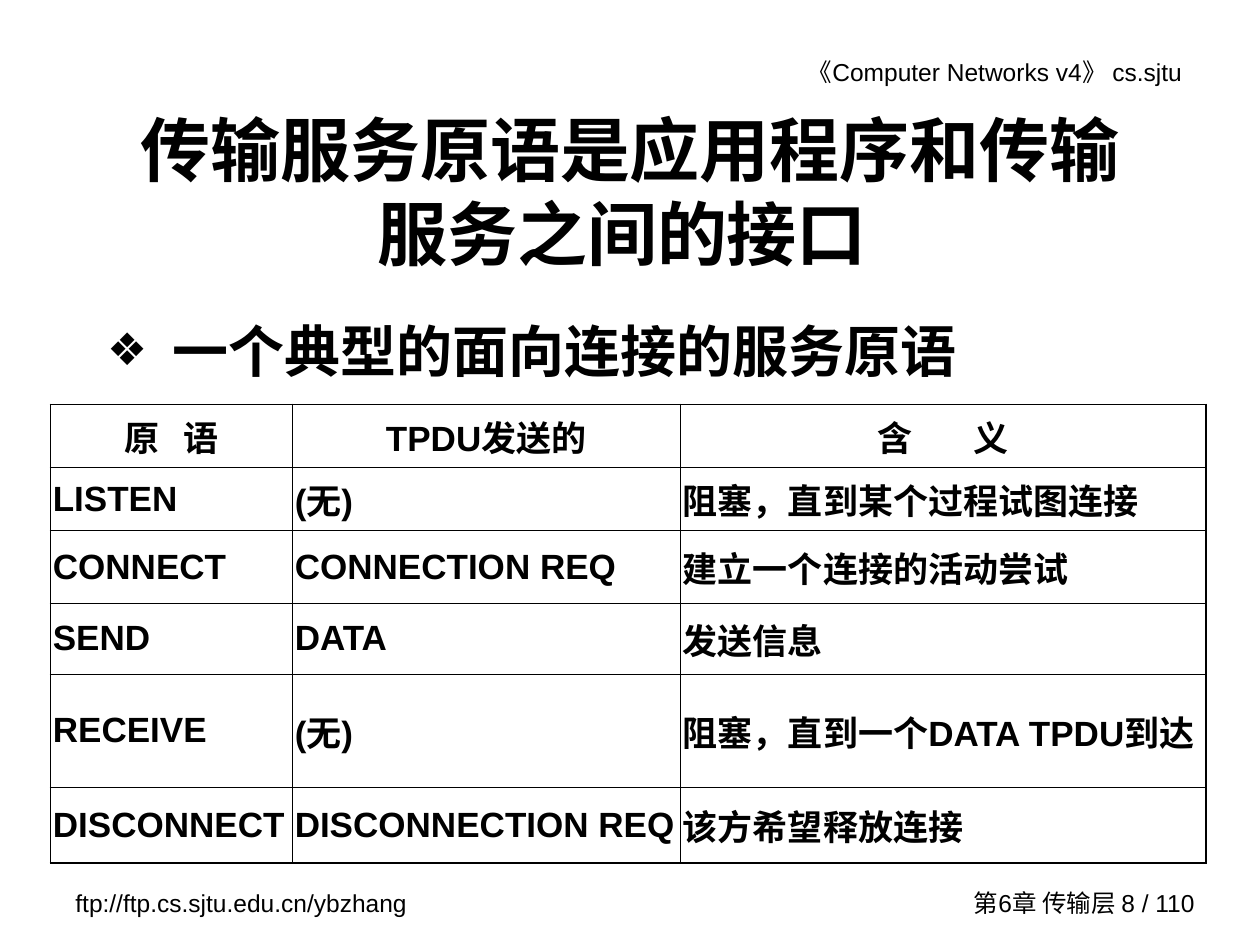
import pptx
import pptx.util
import pptx.dml.color
import pptx.enum.text
import pptx.oxml.ns
import lxml.etree

Inches = pptx.util.Inches
Pt = pptx.util.Pt
Align = pptx.enum.text.PP_ALIGN
Anchor = pptx.enum.text.MSO_ANCHOR
COLORS = {"ink": "000000"}
LATIN, HAN = "Arial", "Noto Sans CJK SC"
COLS = [1.92, 3.08, 4.17]
HEIGHTS = [0.5, 0.5, 0.58, 0.56, 0.9, 0.6]
ROWS = [
    ["原 语", "TPDU发送的", "含 义"],
    ["LISTEN", "(无)", "阻塞，直到某个过程试图连接"],
    ["CONNECT", "CONNECTION REQ", "建立一个连接的活动尝试"],
    ["SEND", "DATA", "发送信息"],
    ["RECEIVE", "(无)", "阻塞，直到一个DATA TPDU到达"],
    ["DISCONNECT", "DISCONNECTION REQ", "该方希望释放连接"],
]
GAPS = {"原 语": 9, "含 义": 30}


def add(parent, tag, **attrs):
    """Append a DrawingML element and return it."""
    return lxml.etree.SubElement(parent, pptx.oxml.ns.qn("a:" + tag), attrs)


def style(para, size, bold=False, align=Align.LEFT, face=LATIN):
    """Set the look of a whole paragraph."""
    para.alignment = align
    para.space_before = Pt(0)
    font = para.font
    font.size, font.bold, font.name = Pt(size), bold, face
    font.color.rgb = pptx.dml.color.RGBColor.from_string(COLORS["ink"])
    add(font._element, "ea", typeface=HAN)


def place(shape, box):
    """Move a shape to a box given in inches."""
    shape.left, shape.top, shape.width, shape.height = map(Inches, box)


def put_note(slide, box, text, align=Align.LEFT, anchor=Anchor.TOP, right=0.1):
    """Add a small running line at the edge of the slide."""
    frame = slide.shapes.add_textbox(*map(Inches, box)).text_frame
    frame.word_wrap = True
    frame.vertical_anchor = anchor
    frame.margin_right = Inches(right)
    frame.text = text
    style(frame.paragraphs[0], 14, align=align)


def put_title(slide, box):
    """Fill the title placeholder."""
    title = slide.shapes.title
    place(title, box)
    frame = title.text_frame
    frame.text = "传输服务原语是应用程序和传输服务之间的接口 "
    frame.auto_size = pptx.enum.text.MSO_AUTO_SIZE.NONE
    frame.vertical_anchor = Anchor.MIDDLE
    style(frame.paragraphs[0], 40, True, Align.CENTER, HAN)


def put_body(slide, box):
    """Fill the body placeholder with its bullet line."""
    body = slide.placeholders[1]
    place(body, box)
    frame = body.text_frame
    frame.text = "一个典型的面向连接的服务原语"
    frame.auto_size = pptx.enum.text.MSO_AUTO_SIZE.NONE
    para = frame.paragraphs[0]
    props = para._p.get_or_add_pPr()
    props.set("marL", str(Inches(0.52)))
    props.set("indent", str(Inches(-0.52)))
    add(add(props, "buClr"), "srgbClr", val=COLORS["ink"])
    add(props, "buSzPct", val="80000")
    add(props, "buChar", char="❖")
    style(para, 32, True)


def edge(cell, side, width):
    """Draw one border of a cell."""
    line = add(cell._tc.get_or_add_tcPr(), "ln" + side, w=str(Pt(width)))
    add(add(line, "solidFill"), "srgbClr", val=COLORS["ink"])


def fill_cell(cell, text, head, outer):
    """Write one cell, with thick borders on its outer sides."""
    for side in "LRTB":
        edge(cell, side, 1.08 if side in outer else 0.45)
    cell.fill.background()
    cell.margin_left = cell.margin_right = Inches(0.02)
    cell.margin_top = cell.margin_bottom = Inches(0.05)
    cell.vertical_anchor = Anchor.MIDDLE
    para = cell.text_frame.paragraphs[0]
    style(para, 20, True, Align.CENTER if head else Align.LEFT)
    for part in text if text in GAPS else [text]:
        run = para.add_run()
        run.text = part
        if part == " ":
            run.font._element.set("spc", str(GAPS[text] * 100))


def put_table(slide, box):
    """Add the table of service primitives."""
    shape = slide.shapes.add_table(len(ROWS), len(COLS), *map(Inches, box))
    table = shape.table
    table.first_row = table.horz_banding = False
    for col, width in zip(table.columns, COLS):
        col.width = Inches(width)
    for row, height in zip(table.rows, HEIGHTS):
        row.height = Inches(height)
    for r, row in enumerate(ROWS):
        for c, text in enumerate(row):
            sides = {"L": c == 0, "R": c == len(COLS) - 1,
                     "T": r == 0, "B": r == len(ROWS) - 1}
            outer = [side for side, on in sides.items() if on]
            fill_cell(table.cell(r, c), text, r == 0, outer)


def main():
    """Build and save the slide."""
    deck = pptx.Presentation()
    deck.slide_width, deck.slide_height = Inches(10), Inches(7.5)
    slide = deck.slides.add_slide(deck.slide_layouts[1])
    put_note(slide, (5.28, 0.4, 4.31, 0.34),
             "《Computer Networks v4》 cs.sjtu", Align.RIGHT, right=0.21)
    put_note(slide, (0.5, 7, 2.92, 0.34), "ftp://ftp.cs.sjtu.edu.cn/ybzhang")
    put_note(slide, (7.32, 7, 2.26, 0.33), "第6章 传输层 8 / 110",
             Align.RIGHT, Anchor.MIDDLE)
    put_title(slide, (0.75, 0.8, 8.5, 1.42))
    put_body(slide, (0.75, 2.46, 8.5, 0.75))
    put_table(slide, (0.4, 3.21, sum(COLS), sum(HEIGHTS)))
    deck.save("out.pptx")


if __name__ == "__main__":
    main()
